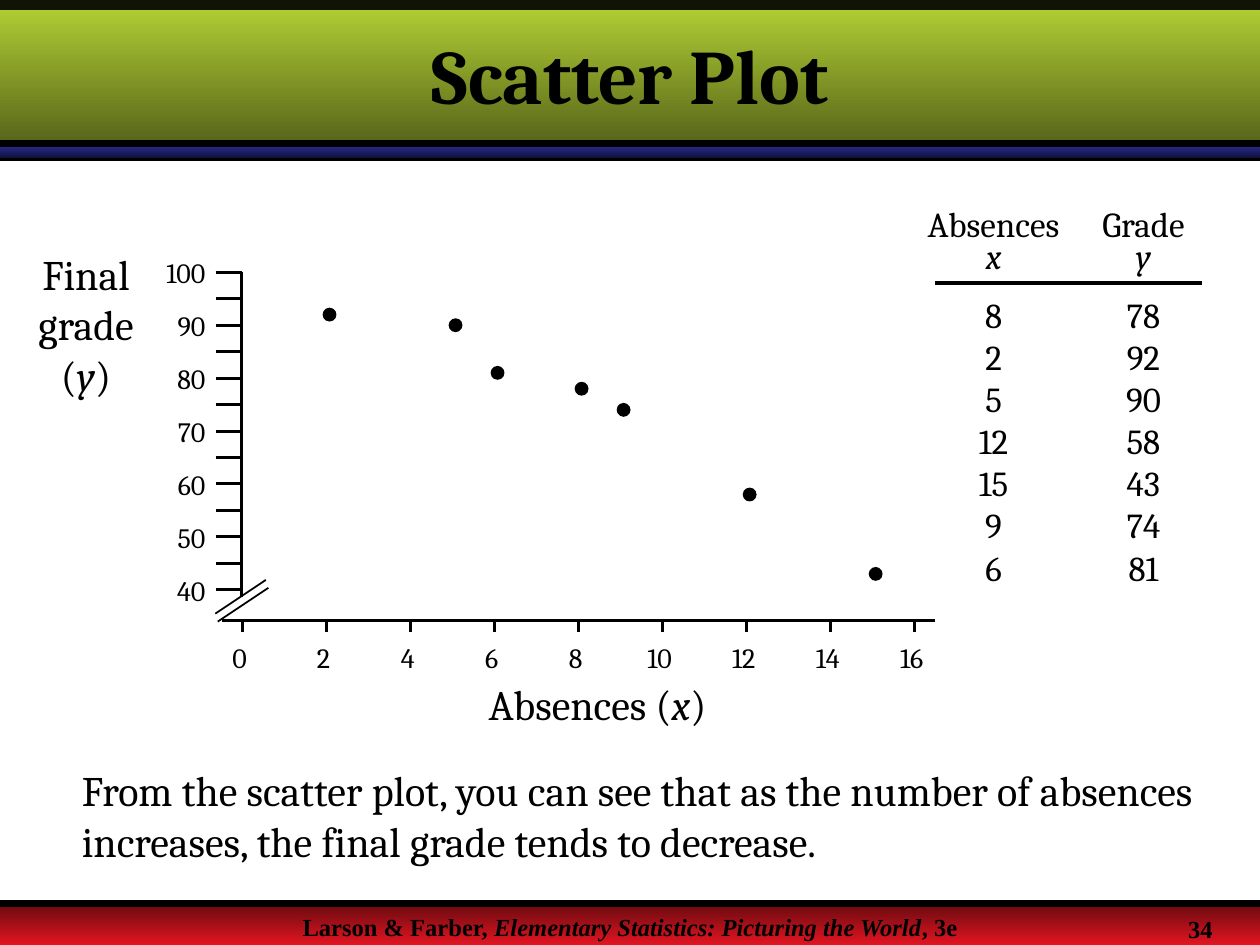
from dataclasses import dataclass

from lxml import etree
from pptx import Presentation
from pptx import util as u
from pptx.dml.color import RGBColor
from pptx.enum import shapes, text
from pptx.oxml import ns

Cm, Pt = u.Cm, u.Pt
LEFT, CENTER, RIGHT = text.PP_ALIGN.LEFT, text.PP_ALIGN.CENTER, text.PP_ALIGN.RIGHT
TOP, MIDDLE = text.MSO_ANCHOR.TOP, text.MSO_ANCHOR.MIDDLE
INSET = (0.25, 0.13)


@dataclass(frozen=True)
class Theme:
    ink: str = "000000"
    green: tuple = ("B5D335", "546219")
    navy: tuple = ("242985", "11133E")
    red: tuple = ("680A0F", "E11521")
    body_font: str = "Cambria"
    footer_font: str = "Times New Roman"
    title: int = 44
    body: int = 24
    data: int = 20
    tick: int = 16
    footer: int = 14


T = Theme()
DATA = [(8, 78), (2, 92), (5, 90), (12, 58), (15, 43), (9, 74), (6, 81)]


def write(p, runs, size, font=T.body_font, bold=False, align=LEFT):
    """Fill a paragraph; a run given as a 1-tuple is italic."""
    p.alignment = align
    p.font.size, p.font.name, p.font.bold = Pt(size), font, bold
    p.font.color.rgb = RGBColor.from_string(T.ink)
    for run in runs:
        r = p.add_run()
        if isinstance(run, tuple):
            r.text, r.font.italic = run[0], True
        else:
            r.text = run


def add_text(s, box, paragraphs, size, inset=INSET, anchor=TOP, wrap=True, **style):
    tf = s.shapes.add_textbox(*map(Cm, box)).text_frame
    tf.word_wrap, tf.vertical_anchor = wrap, anchor
    tf.margin_left = tf.margin_right = Cm(inset[0])
    tf.margin_top = tf.margin_bottom = Cm(inset[1])
    for i, runs in enumerate(paragraphs):
        p = tf.add_paragraph() if i else tf.paragraphs[0]
        write(p, runs, size, **style)


def add_line(s, x1, y1, x2, y2, width):
    c = s.shapes.add_connector(shapes.MSO_CONNECTOR.STRAIGHT, *map(Cm, (x1, y1, x2, y2)))
    c.line.width = Pt(width)
    c.line.color.rgb = RGBColor.from_string(T.ink)
    etree.SubElement(c._element.spPr, ns.qn("a:effectLst"))


def add_solid(s, kind, box, color):
    sp = s.shapes.add_shape(kind, *map(Cm, box))
    sp.shadow.inherit = False
    sp.fill.solid()
    sp.fill.fore_color.rgb = RGBColor.from_string(color)
    sp.line.fill.background()
    return sp


def add_band(s, box, colors):
    sp = add_solid(s, shapes.MSO_SHAPE.RECTANGLE, box, colors[0])
    sp.fill.gradient()
    sp.fill.gradient_angle = 270
    for stop, color in zip(sp.fill.gradient_stops, colors):
        stop.color.rgb = RGBColor.from_string(color)


def header(s, box, title):
    x, y, w, h = box
    add_line(s, x, y + 3.18, x + w, y + 3.18, 4)
    add_band(s, (x, y + 2.97, w, 0.2), T.navy)
    add_band(s, (x, y, w, 2.97), T.green)
    strip = add_solid(s, shapes.MSO_SHAPE.RECTANGLE, (x, y, w, 0.2), T.ink)
    color = strip.fill._xPr.find(".//" + ns.qn("a:srgbClr"))
    etree.SubElement(color, ns.qn("a:alpha"), val="90000")
    add_line(s, x, y + 2.9, x + w, y + 2.9, 4)
    add_text(s, (x, y + 0.58, w, 1.83), [[title]], T.title,
             anchor=MIDDLE, bold=True, align=CENTER)


def footer(s, box, runs, number):
    x, y, w, h = box
    style = dict(font=T.footer_font, bold=True)
    add_band(s, box, T.red)
    add_line(s, x, y, x + w, y, 4)
    add_text(s, (x, y + 0.05, w, 0.5), [runs], T.footer, align=CENTER, **style)
    add_text(s, (x + w - 1.7, y + 0.08, 1.5, 0.86), [[number]], T.footer, wrap=False, **style)


def data_table(s, box):
    x, y, w, h = box
    head_h, row_h = 1.87, 0.85
    frame = s.shapes.add_table(len(DATA) + 1, 2, *map(Cm, box))
    table = frame.table
    table.first_row = table.horz_banding = False
    for i, row in enumerate(table.rows):
        row.height = Cm(row_h if i else head_h)
    rows = [(("Absences", ("x",)), ("Grade", ("y",)))]
    rows += [((str(a),), (str(g),)) for a, g in DATA]
    for i, row in enumerate(rows):
        for j, lines in enumerate(row):
            cell = table.cell(i, j)
            cell.fill.background()
            cell.margin_left = cell.margin_right = cell.margin_bottom = 0
            cell.margin_top = 0 if i else Cm(0.2)
            for k, line in enumerate(lines):
                tf = cell.text_frame
                p = tf.add_paragraph() if k else tf.paragraphs[0]
                write(p, [line], T.data, align=CENTER)
                if i == 0:
                    p.line_spacing = Pt(18.5)
    # Rule under the headings
    add_line(s, x + 0.33, y + 1.6, x + w - 0.33, y + 1.6, 2)


def scatter_plot(s, box):
    """The box spans 0 to 16 across and 100 down to 40."""
    x, y, w, h = box
    axis_y = y + h + 0.61

    def at_x(absences):
        return x + w * absences / 16

    def at_y(grade):
        return y + h * (100 - grade) / 60

    # Axes, with a break below 40
    add_line(s, x - 0.41, axis_y, x + w + 0.42, axis_y, 1.75)
    add_line(s, x - 0.02, y, x - 0.02, y + h + 0.15, 1.75)
    for dx, dy in ((0, 0), (0.05, 0.16)):
        add_line(s, x - 0.54 + dx, axis_y - 0.13 + dy, x + 0.48 + dx, axis_y - 0.81 + dy, 1)

    # Ticks and their labels
    for a in range(0, 17, 2):
        add_line(s, at_x(a), axis_y, at_x(a), axis_y + 0.25, 1.75)
        add_text(s, (at_x(a) - 0.55, axis_y + 0.41, 1, 0.69), [[str(a)]], T.tick,
                 inset=(0, 0), align=CENTER)
    for g in range(40, 101, 5):
        add_line(s, x - 0.53, at_y(g), x, at_y(g), 1.75)
        if g % 10 == 0:
            add_text(s, (x - 1.94, at_y(g) - 0.33, 1.2, 0.69), [[str(g)]], T.tick,
                     inset=(0, 0), align=RIGHT)

    # Axis titles
    add_text(s, (x - 5.01, y - 0.61, 3.73, 3.3), [["Final"], ["grade"], ["(", ("y",), ")"]],
             T.body, align=CENTER)
    add_text(s, (x + 4.72, axis_y + 1.04, 5.33, 1.27), [["Absences (", ("x",), ")"]],
             T.body, wrap=False)

    # Data points
    size = 0.28
    for a, g in DATA:
        add_solid(s, shapes.MSO_SHAPE.OVAL,
                  (at_x(a) + 0.07 - size / 2, at_y(g) - size / 2, size, size), T.ink)


def main():
    prs = Presentation()
    prs.slide_width, prs.slide_height = Cm(25.4), Cm(19.05)
    s = prs.slides.add_slide(prs.slide_layouts[6])
    header(s, (0, 0, 25.4, 3.18), "Scatter Plot")
    footer(s, (0, 18.21, 25.4, 0.84),
           ["Larson & Farber, ", ("Elementary Statistics: Picturing the World",), ", 3e"], "34")
    data_table(s, (18.52, 4.11, 6.04, 7.82))
    scatter_plot(s, (4.88, 5.49, 13.55, 6.4))
    add_text(s, (1.4, 15.29, 23.57, 2.29),
             [["From the scatter plot, you can see that as the number of absences "
               "increases, the final grade tends to decrease."]], T.body)
    prs.save("out.pptx")


if __name__ == "__main__":
    main()
